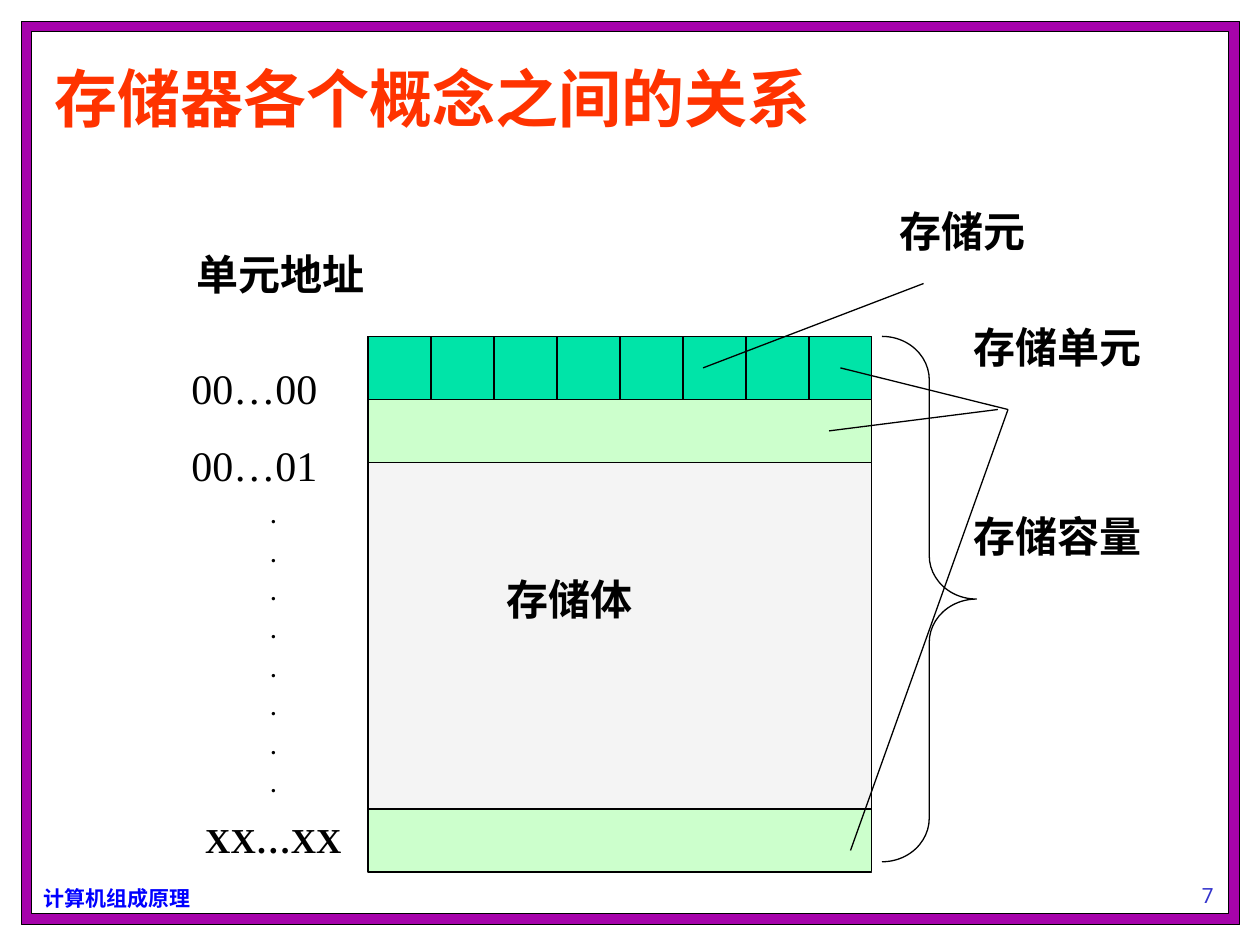
"""Build a slide that relates the basic concepts of computer memory."""
from pptx import Presentation
from pptx.dml.color import RGBColor as RGB
from pptx.enum.shapes import MSO_CONNECTOR as Link, MSO_SHAPE as Shape
from pptx.enum.text import MSO_ANCHOR as Anchor, MSO_AUTO_SIZE as Fit, PP_ALIGN as Align
from pptx.oxml.ns import qn
from pptx.util import Inches, Pt
from lxml.etree import SubElement as Sub

HUES = {
    "frame": "A603AB", "paper": "FFFFFF", "ink": "000000", "title": "FF3300",
    "foot": "0000FF", "page": "3333CC", "body": "EAEAEA", "cell": "00E4A8",
    "unit": "CCFFCC",
}
SERIF, SANS, HAN = "Times New Roman", "Roboto", "Noto Sans CJK SC"
LEFT, TOP, WIDE, HIGH, ROW = 2.92, 2.67, 4, 4.25, 0.5
BITS = 8


def hue(name):
    """Return the named colour."""
    return RGB.from_string(HUES[name])


def edge(item):
    """Give a shape or connector a thin black line."""
    item.line.color.rgb = hue("ink")
    item.line.width = Pt(0.75)


def box(slide, area, fill, alpha=None):
    """Add a filled rectangle, see-through if alpha is given."""
    rect = slide.shapes.add_shape(Shape.RECTANGLE, *map(Inches, area))
    rect.shadow.inherit = False
    rect.fill.solid()
    rect.fill.fore_color.rgb = hue(fill)
    edge(rect)
    if alpha:
        tone = rect.element.spPr.find(qn("a:solidFill"))[0]
        Sub(tone, qn("a:alpha"), val=str(alpha * 1000))


def line(slide, start, end):
    """Add a straight pointer line."""
    link = slide.shapes.add_connector(Link.STRAIGHT, *map(Inches, start + end))
    edge(link)
    Sub(link.element.spPr, qn("a:effectLst"))


def brace(slide, area):
    """Add a right brace."""
    mark = slide.shapes.add_shape(Shape.RIGHT_BRACE, *map(Inches, area))
    mark.shadow.inherit = False
    mark.fill.background()
    edge(mark)
    mark.adjustments[0] = 0.46


def write(para, words, size, color="ink", font=SERIF, bold=True, gap=0, align=Align.LEFT):
    """Add one run to a paragraph and format both."""
    para.alignment = align
    para.space_before = Pt(gap)
    run = para.add_run()
    run.text = words
    run.font.size = Pt(size)
    run.font.bold = bold
    run.font.name = font
    run.font.color.rgb = hue(color)
    Sub(run.font._element, qn("a:ea"), typeface=HAN)


def text(slide, area):
    """Add an empty text box and return its frame."""
    frame = slide.shapes.add_textbox(*map(Inches, area)).text_frame
    frame.word_wrap = True
    return frame


def head(slide, words):
    """Place and fill the title above the frame."""
    title = slide.shapes.title
    title.left, title.top, title.width, title.height = map(Inches, (0.33, 0.42, 9.33, 0.75))
    frame = title.text_frame
    frame.auto_size = Fit.NONE
    frame.vertical_anchor = Anchor.TOP
    write(frame.paragraphs[0], words, 36, "title", SANS, gap=9)
    slide.shapes._spTree.append(title.element)


def border(slide):
    """Add the page frame, footer and page number."""
    box(slide, (0.17, 0.17, 9.67, 7.17), "frame")
    box(slide, (0.25, 0.25, 9.5, 7), "paper")
    foot = text(slide, (0.25, 6.98, 1.6, 0.3))
    write(foot.paragraphs[0], "计算机组成原理", 12, "foot", HAN)
    page = text(slide, (8.67, 6.75, 1.83, 0.5))
    page.vertical_anchor = Anchor.BOTTOM
    write(page.paragraphs[0], "7", 12, "page", SANS, False, align=Align.CENTER)


def memory(slide):
    """Draw the memory body with its bits and units."""
    box(slide, (LEFT, TOP, WIDE, HIGH), "body", 50)
    step = WIDE / BITS
    for bit in range(BITS):
        box(slide, (LEFT + bit * step, TOP, step, ROW), "cell")
    for top in (TOP + ROW, TOP + HIGH - ROW):
        box(slide, (LEFT, top, WIDE, ROW), "unit")


def address(slide):
    """List the unit addresses beside the memory."""
    frame = text(slide, (1.42, 2.83, 1.5, 4.05))
    mid = Align.CENTER
    rows = [("00…00", 24, False, 15, Align.LEFT), ("00…01", 24, False, 15, Align.LEFT)]
    rows += [(".", 12, True, 7.5, mid)] * 8 + [("XX…XX", 20, True, 12.5, mid)]
    for num, (words, size, bold, gap, align) in enumerate(rows):
        para = frame.add_paragraph() if num else frame.paragraphs[0]
        write(para, words, size, bold=bold, gap=gap, align=align)


def main():
    """Build and save the slide."""
    deck = Presentation()
    deck.slide_width, deck.slide_height = Inches(10), Inches(7.5)
    slide = deck.slides.add_slide(deck.slide_layouts[5])
    border(slide)
    head(slide, "存储器各个概念之间的关系")
    memory(slide)
    address(slide)
    for start, end in (
        ((6.58, 3.42), (7.92, 3.25)),
        ((6.67, 2.92), (8, 3.25)),
        ((6.75, 6.75), (8, 3.25)),
        ((5.58, 2.92), (7.33, 2.25)),
    ):
        line(slide, start, end)
    brace(slide, (7, TOP, 0.75, 4.17))
    for words, left, top, width in (
        ("单元地址", 1.46, 1.92, 2.25),
        ("存储单元", 7.63, 2.5, 2),
        ("存储元", 7.04, 1.58, 2.25),
        ("存储容量", 7.63, 4, 2.37),
        ("存储体", 3.92, 4.5, 2.5),
    ):
        frame = text(slide, (left, top, width, 0.5))
        write(frame.paragraphs[0], words, 24, gap=15)
    deck.save("out.pptx")


if __name__ == "__main__":
    main()
